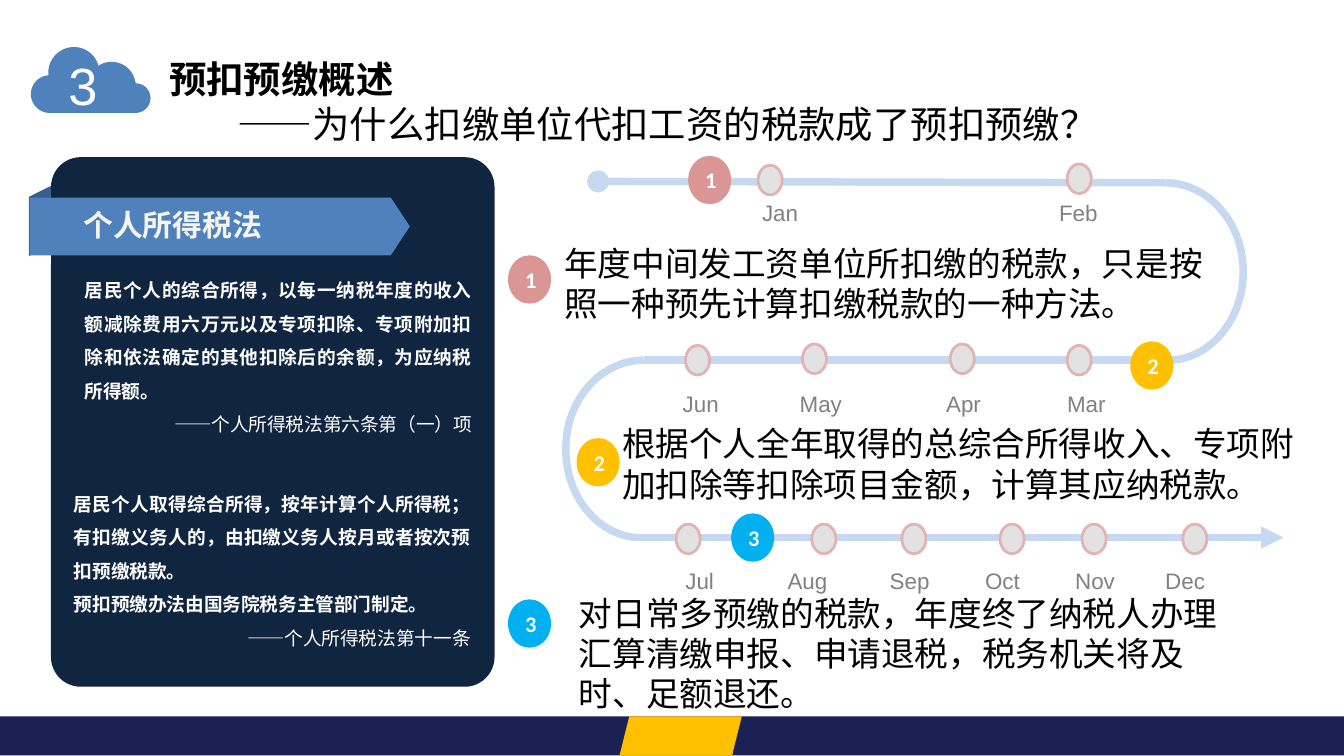
from dataclasses import dataclass
from math import cos, radians, sin

from lxml import etree
from pptx import Presentation
from pptx.dml.color import RGBColor
from pptx.enum.shapes import MSO_CONNECTOR, MSO_SHAPE
from pptx.enum.text import MSO_ANCHOR, MSO_AUTO_SIZE, PP_ALIGN
from pptx.oxml.ns import qn
from pptx.util import Inches, Pt

LEFT, CENTER, RIGHT, JUSTIFY = PP_ALIGN.LEFT, PP_ALIGN.CENTER, PP_ALIGN.RIGHT, PP_ALIGN.JUSTIFY
MIDDLE, GROW = MSO_ANCHOR.MIDDLE, MSO_AUTO_SIZE.SHAPE_TO_FIT_TEXT
STRAIGHT = MSO_CONNECTOR.STRAIGHT
OVAL, RECTANGLE, ROUNDED = MSO_SHAPE.OVAL, MSO_SHAPE.RECTANGLE, MSO_SHAPE.ROUNDED_RECTANGLE
RIBBON, FOLD, SLANT = MSO_SHAPE.PENTAGON, MSO_SHAPE.FLOWCHART_DATA, MSO_SHAPE.PARALLELOGRAM


@dataclass(frozen=True)
class Theme:
    blue: str = "4F81BD"
    fold: str = "376092"
    panel: str = "10253F"
    footer: str = "1B2153"
    gold: str = "FFC000"
    rose: str = "D99694"
    sky: str = "00B0F0"
    track: str = "C6D9F1"
    dot: str = "E2E2E2"
    dot_edge: str = "E1B4B3"
    month: str = "808080"
    ribbon_text: str = "F5F4ED"
    white: str = "FFFFFF"
    black: str = "000000"
    latin: str = "Arial"
    cjk: str = "Noto Sans CJK SC"
    badge_font: str = "Calibri"
    number: int = 28
    title: int = 20
    body: int = 18
    heading: int = 16
    label: int = 12
    law: int = 10


T = Theme()


@dataclass(frozen=True)
class Style:
    size: int
    color: str
    name: str = T.latin
    bold: bool = False


@dataclass(frozen=True)
class Para:
    text: str
    style: Style
    align: PP_ALIGN = LEFT
    spacing: float = 1.0
    indent: float = 0
    tabs: tuple[float, ...] = ()


@dataclass(frozen=True)
class MonthRow:
    box: tuple[float, float, float, float]
    months: str
    tabs: tuple[float, ...]
    dots: tuple[tuple[float, float], ...]


@dataclass(frozen=True)
class Step:
    number: str
    color: str
    on_track: tuple[float, float]
    beside_text: tuple[float, float]
    box: tuple[float, float, float, float]
    text: str


TITLE = Style(T.title, T.black, T.cjk, True)
SUBTITLE = Style(T.title, T.black)
NUMBER = Style(T.number, T.white)
HEADING = Style(T.heading, T.ribbon_text, T.cjk, True)
LAW = Style(T.law, T.white, T.cjk, True)
SOURCE = Style(T.law, T.white, T.cjk)
MONTH = Style(T.label, T.month)
BADGE = Style(T.label, T.white, T.badge_font, True)
BODY = Style(T.body, T.black)

MONTH_ROWS = [
    MonthRow((5.59, 1.44, 3.11, 0.28), "Jan\tFeb", (2.21,), ((5.64, 1.23), (7.94, 1.22))),
    MonthRow((5, 2.86, 4.15, 0.28), "Jun\tMay\tApr\tMar", (0.87, 1.96, 2.86),
             ((5.1, 2.57), (5.97, 2.56), (7.07, 2.56), (7.94, 2.57))),
    MonthRow((5.02, 4.18, 4.04, 0.28), "Jul\tAug\tSep\tOct\tNov\tDec",
             (0.76, 1.52, 2.23, 2.9, 3.57),
             tuple((x, 3.9) for x in (5.03, 6.04, 6.71, 7.44, 8.05, 8.8))),
]
STEPS = [
    Step("1", T.rose, (5.12, 1.16), (3.78, 1.9), (4.1, 1.76, 5, 0.7),
         "年度中间发工资单位所扣缴的税款，只是按照一种预先计算扣缴税款的一种方法。"),
    Step("2", T.gold, (8.41, 2.54), (4.29, 3.26), (4.53, 3.1, 5.28, 0.7),
         "根据个人全年取得的总综合所得收入、专项附加扣除等扣除项目金额，计算其应纳税款。"),
    Step("3", T.sky, (5.44, 3.82), (3.78, 4.46), (4.21, 4.36, 5, 1),
         "对日常多预缴的税款，年度终了纳税人办理汇算清缴申报、申请退税，税务机关将及时、足额退还。"),
]


def write(frame, paras: list[Para], insets: tuple[float, float], **settings) -> None:
    x, y = Inches(insets[0]), Inches(insets[1])
    settings |= {"word_wrap": True, "margin_left": x, "margin_right": x,
                 "margin_top": y, "margin_bottom": y}
    for key, value in settings.items():
        setattr(frame, key, value)
    for i, para in enumerate(paras):
        line = frame.add_paragraph() if i else frame.paragraphs[0]
        line.alignment, line.line_spacing = para.align, para.spacing
        props = line._p.get_or_add_pPr()
        props.set("hangingPunct", "0")
        if para.indent:
            props.set("marL", str(Inches(para.indent)))
        if para.tabs:
            stops = etree.SubElement(props, qn("a:tabLst"))
            for stop in para.tabs:
                etree.SubElement(stops, qn("a:tab"), pos=str(Inches(stop)), algn="l")
        run = line.add_run()
        run.text = para.text
        style = para.style
        for key, value in {"size": Pt(style.size), "bold": style.bold, "name": style.name}.items():
            setattr(run.font, key, value)
        run.font.color.rgb = RGBColor.from_string(style.color)
        etree.SubElement(run._r.get_or_add_rPr(), qn("a:ea"), typeface=T.cjk)


def add_text(slide, box: tuple, paras: list[Para], insets=(0.1, 0.05)) -> None:
    frame = slide.shapes.add_textbox(*map(Inches, box)).text_frame
    write(frame, paras, insets, auto_size=GROW)


def paint(shape, fill: str | None, line: str | None = None, width: float = 1):
    shape.shadow.inherit = False
    if fill:
        shape.fill.solid()
        shape.fill.fore_color.rgb = RGBColor.from_string(fill)
    else:
        shape.fill.background()
    if line:
        shape.line.color.rgb = RGBColor.from_string(line)
        shape.line.width = Pt(width)
    else:
        shape.line.fill.background()
    return shape


def add_preset(slide, kind, box: tuple, fill: str, adjust: float | None = None, **line):
    shape = slide.shapes.add_shape(kind, *map(Inches, box))
    if adjust is not None:
        shape.adjustments[0] = adjust
    return paint(shape, fill, **line)


def add_outline(slide, points: list[tuple], closed: bool, **look) -> None:
    corners = [(Inches(x), Inches(y)) for x, y in points]
    builder = slide.shapes.build_freeform(*corners[0])
    builder.add_line_segments(corners[1:], close=closed)
    paint(builder.convert_to_shape(), **look)


def add_track(slide, start: tuple, end: tuple, **ends: str) -> None:
    track = slide.shapes.add_connector(STRAIGHT, *map(Inches, start + end))
    track.line.color.rgb = RGBColor.from_string(T.track)
    track.line.width = Pt(4)
    for tag, kind in ends.items():
        etree.SubElement(track.line._get_or_add_ln(), qn(f"a:{tag}"), type=kind)
    etree.SubElement(track._element.spPr, qn("a:effectLst"))


def add_badge(slide, place: tuple, step: Step) -> None:
    badge = add_preset(slide, OVAL, (*place, 0.32, 0.36), step.color)
    write(badge.text_frame, [Para(step.number, BADGE, CENTER)], (0.08, 0.04),
          vertical_anchor=MIDDLE)


def arc(x: float, y: float, r: float, start: int, stop: int) -> list[tuple]:
    return [(x + r * cos(radians(a)), y + r * sin(radians(a))) for a in range(start, stop + 1, 6)]


def bezier(a: tuple, b: tuple, c: tuple, d: tuple, steps: int = 24) -> list[tuple]:
    def blend(t: float, i: int) -> float:
        u = 1 - t
        return u**3 * a[i] + 3 * u * u * t * b[i] + 3 * u * t * t * c[i] + t**3 * d[i]
    return [(blend(k / steps, 0), blend(k / steps, 1)) for k in range(steps + 1)]


def main() -> None:
    deck = Presentation()
    deck.slide_width, deck.slide_height = Inches(10), Inches(10 * 9 / 16)
    slide = deck.slides.add_slide(deck.slide_layouts[6])

    # Title and numbered cloud
    add_text(slide, (1.16, 0.37, 7.78, 0.77), [
        Para("预扣预缴概述", TITLE),
        Para("——为什么扣缴单位代扣工资的税款成了预扣预缴？", SUBTITLE, indent=0.51)])
    cloud = (arc(0.37, 0.7, 0.14, 90, 270) + arc(0.55, 0.54, 0.19, 174, 344)
             + arc(0.83, 0.64, 0.18, 236, 354) + arc(1.01, 0.73, 0.11, 270, 450))
    add_outline(slide, cloud, True, fill=T.blue)
    add_text(slide, (0.41, 0.35, 0.52, 0.57), [Para("3", NUMBER)])

    # Footer
    add_preset(slide, RECTANGLE, (0, 5.33, 10, 0.29), T.footer)
    add_preset(slide, SLANT, (4.61, 5.33, 0.91, 0.29), T.gold, 0.249)

    # Law panel with folded ribbon
    fold = add_preset(slide, FOLD, (0.05, 1.52, 0.55, 0.22), T.fold)
    fold.rotation = 270
    fold._element.spPr.find(qn("a:xfrm")).set("flipH", "1")
    add_preset(slide, ROUNDED, (0.38, 1.17, 3.3, 3.94), T.panel, 0.067)
    add_preset(slide, RIBBON, (0.22, 1.47, 2.83, 0.43), T.blue, 0.33)
    add_text(slide, (0.63, 1.99, 2.88, 1.25), [
        Para("居民个人的综合所得，以每一纳税年度的收入额减除费用六万元以及专项扣除、专项附加扣除"
             "和依法确定的其他扣除后的余额，为应纳税所得额。", LAW, JUSTIFY, 1.5),
        Para("——个人所得税法第六条第（一）项", SOURCE, RIGHT, 1.5)], (0, 0))
    add_text(slide, (0.62, 1.54, 1.86, 0.27), [Para("个人所得税法", HEADING)], (0, 0))
    add_text(slide, (0.55, 3.58, 2.95, 1.25), [
        Para("居民个人取得综合所得，按年计算个人所得税；有扣缴义务人的，由扣缴义务人按月"
             "或者按次预扣预缴税款。", LAW, JUSTIFY, 1.5),
        Para("预扣预缴办法由国务院税务主管部门制定。", LAW, JUSTIFY, 1.5),
        Para("——个人所得税法第十一条", SOURCE, RIGHT, 1.5)], (0, 0))

    # Winding track: the left bend mirrors the right one, one row lower
    add_track(slide, (4.45, 1.35), (8.67, 1.36), headEnd="oval")
    add_track(slide, (4.79, 2.68), (8.72, 2.68))
    add_track(slide, (4.74, 4), (9.55, 4), tailEnd="triangle")
    right_bend = (bezier((8.67, 1.36), (8.98, 1.36), (9.24, 1.64), (9.25, 2))
                  + bezier((9.25, 2), (9.26, 2.36), (9.02, 2.66), (8.72, 2.68))[1:])
    left_bend = [(13.46 - x, y + 1.32) for x, y in right_bend]
    for bend in (right_bend, left_bend):
        add_outline(slide, bend, False, fill=None, line=T.track, width=4)

    # Months
    for row in MONTH_ROWS:
        add_text(slide, row.box, [Para(row.months, MONTH, tabs=row.tabs)], (0.08, 0.04))
        for place in row.dots:
            add_preset(slide, OVAL, (*place, 0.18, 0.22), T.dot, line=T.dot_edge, width=1.5)

    # Steps
    for step in STEPS:
        add_text(slide, step.box, [Para(step.text, BODY)])
        for place in (step.on_track, step.beside_text):
            add_badge(slide, place, step)

    deck.save("out.pptx")


if __name__ == "__main__":
    main()
